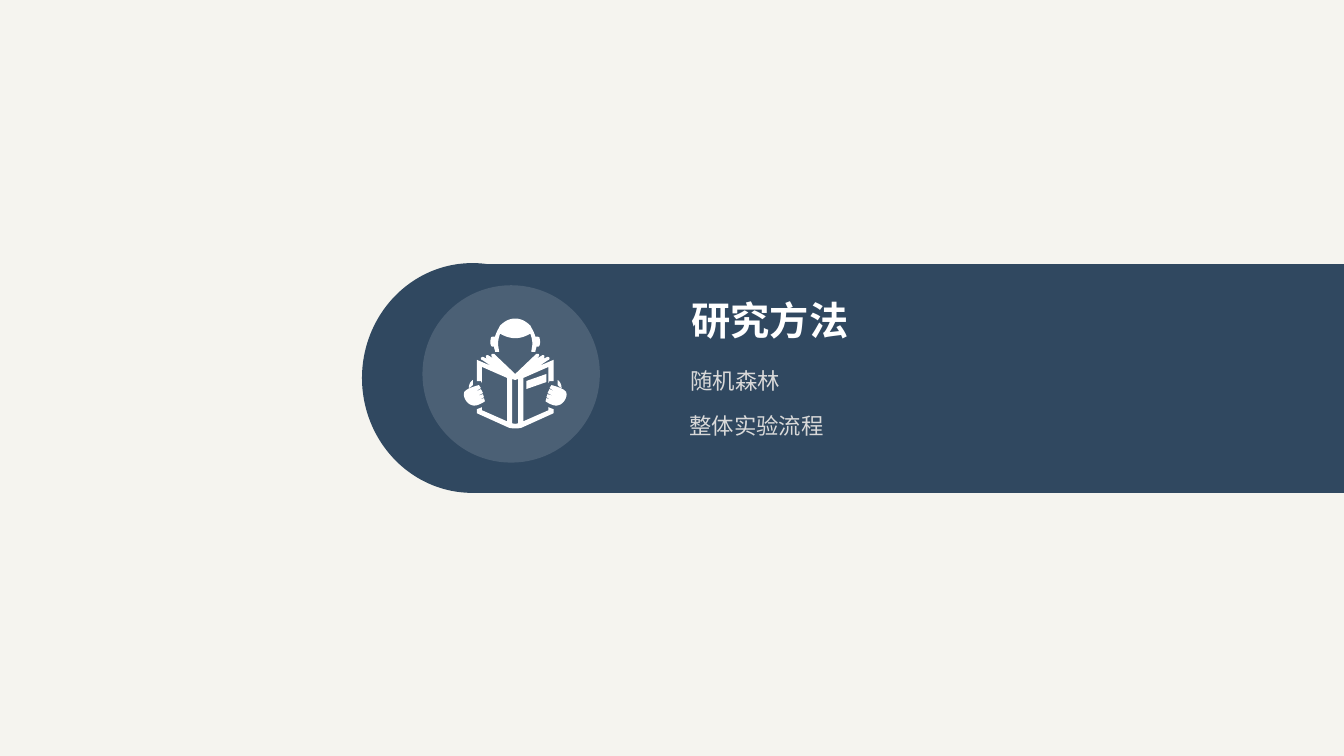
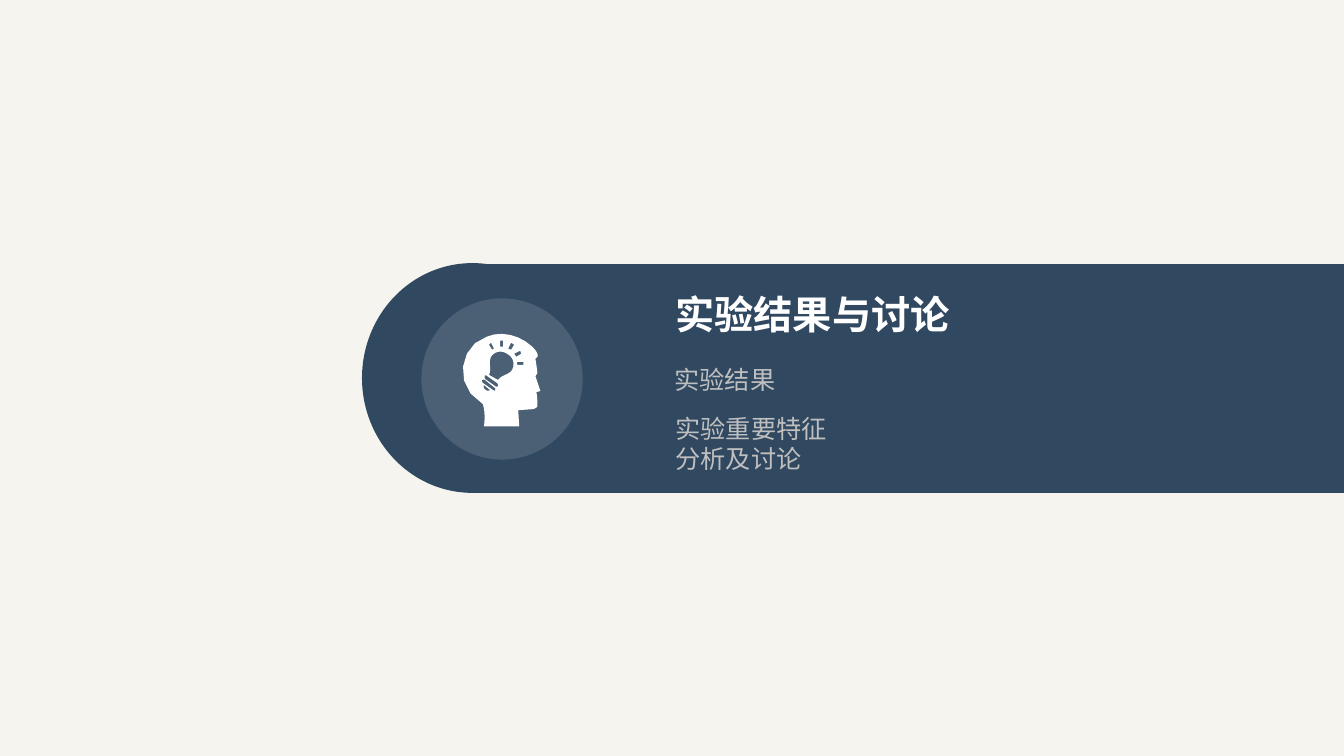
"""Build two section divider slides with a rounded band, an icon and topic lines."""
from dataclasses import dataclass
from typing import NamedTuple

import lxml.etree
import pptx
import pptx.dml.color
import pptx.enum.shapes
import pptx.enum.text
import pptx.oxml.ns
import pptx.util

Inches = pptx.util.Inches
MSO_SHAPE = pptx.enum.shapes.MSO_SHAPE

COLORS = {
    "paper": "F5F4EF",
    "band": "304860",
    "disc": "4B6075",
    "white": "FFFFFF",
    "light": "D9D9D9",
    "gray": "BFBFBF",
}
FONT = "Noto Sans CJK SC"
CURVE_STEPS = 6
READER_AXIS = 511


class Box(NamedTuple):
    left: float
    top: float
    width: float
    height: float

    def emu(self) -> list:
        return [Inches(v) for v in self]


@dataclass
class Topic:
    text: str
    box: Box


@dataclass
class Section:
    title: str
    title_box: Box
    disc: Box
    icon: list
    topics: list
    topic_size: int
    topic_color: str


def flatten(steps: list) -> list:
    points = [steps[0]]
    for step in steps[1:]:
        if len(step) == 2:
            points.append(step)
            continue
        x0, y0 = points[-1]
        x1, y1, x2, y2, x3, y3 = step
        for i in range(1, CURVE_STEPS + 1):
            t = i / CURVE_STEPS
            a, b, c, d = (1 - t) ** 3, 3 * t * (1 - t) ** 2, 3 * t * t * (1 - t), t ** 3
            points.append((a * x0 + b * x1 + c * x2 + d * x3,
                           a * y0 + b * y1 + c * y2 + d * y3))
    return points


def mirror(points: list) -> list:
    return [(2 * READER_AXIS - x, y) for x, y in reversed(points)]


def reader_icon() -> list:
    half_head = flatten([
        (511, 316), (517, 316, 522, 319, 526, 323), (528, 327, 530, 330, 531, 334),
        (533, 334, 535, 334, 535, 335), (536, 338, 536, 343, 534, 344), (532, 344),
        (532, 346, 531, 347, 531, 349), (527, 349), (527, 347, 528, 344, 528, 341),
        (528, 337, 527, 334, 526, 331), (521, 334, 516, 335.5, 511, 335.5)])
    half_book = flatten([
        (511, 371), (532, 351), (533, 351, 534, 351, 534, 351),
        (535, 352, 535, 353, 534, 354), (532, 356), (537, 353),
        (538, 352, 539, 352, 540, 353), (540, 354, 540, 355, 539, 356), (535, 358),
        (543, 354), (543, 354, 544, 354, 545, 355), (545, 356, 545, 357, 544, 357),
        (535, 363), (549, 357), (549, 378), (545, 378), (544, 380), (544, 364),
        (519, 375), (519, 418), (544, 407), (544, 404), (549, 406), (549, 410),
        (518, 424), (516, 425, 513, 425, 511, 425)])
    hand = flatten([
        (547, 382), (545, 385), (551, 389), (545, 386), (543, 390), (549, 393),
        (543, 391), (542, 394), (547, 397), (542, 395), (541, 398),
        (542, 399, 550, 404, 554, 402), (558, 401, 562, 396, 562, 391),
        (563, 386, 550, 383, 547, 382)])
    thumb = flatten([(557, 385), (554, 383), (553, 382), (553, 377),
                     (555, 378, 557, 381, 557, 385)])
    spine = [(508, 376), (508, 420), (511, 420.5), (514, 420), (514, 376), (511, 377)]
    label = [(522, 378), (542, 371), (542, 379), (522, 386)]
    halves = [half + mirror(half) for half in (half_head, half_book)]
    pairs = [side for part in (hand, thumb) for side in (part, mirror(part))]
    return halves + pairs + [spine, label]


def idea_icon() -> list:
    head = [
        (480, 423), (481, 416, 481, 408, 479, 401), (448, 383, 456, 342, 483, 334),
        (497, 328, 515, 332, 528, 344), (537, 353, 532, 355, 532, 355), (531, 356),
        (532, 361, 533, 369, 533, 370), (533, 371, 531, 373, 531, 373), (536, 388),
        (532, 389), (533, 394, 533, 398, 533, 403), (533, 404, 530, 406, 528, 406),
        (514, 407), (515, 423)]
    bulb = [
        (503, 351), (497, 347, 490, 349, 487, 354), (484, 360, 488, 366, 485, 372),
        (494, 377), (497, 372, 505, 372, 508, 367), (511, 361, 509, 354, 503, 351)]
    threads = [
        [(493, 380), (483, 373), (482, 372, 481, 372, 481, 373),
         (480, 374, 481, 375, 481, 376), (491, 383), (492, 384, 493, 384, 494, 383),
         (494, 382, 494, 381, 493, 380)],
        [(491, 385), (481, 377), (480, 376, 479, 377, 478, 377),
         (478, 378, 478, 379, 479, 380), (489, 387), (490, 388, 491, 388, 491, 387),
         (492, 386, 491, 385, 491, 385)],
        [(480, 382), (479, 384, 480, 386, 482, 387), (483, 388, 485, 388, 486, 387)]]
    rays = [
        [(507, 347), (510, 342), (507, 340), (504, 346)],
        [(512, 354), (517, 351), (516, 348), (510, 351)],
        [(499, 344), (499, 338), (496, 338), (496, 344)],
        [(490, 346), (487, 340), (485, 342), (488, 347)],
        [(513, 362), (519, 362), (519, 359), (513, 359)]]
    return [flatten(part) for part in [head, bulb, *threads, *rays]]


def rgb(name: str) -> pptx.dml.color.RGBColor:
    return pptx.dml.color.RGBColor.from_string(COLORS[name])


def paint(sp, color: str) -> None:
    sp.shadow.inherit = False
    sp.fill.solid()
    sp.fill.fore_color.rgb = rgb(color)
    sp.line.fill.background()


def add_preset(s, kind, box: Box, color: str) -> None:
    paint(s.shapes.add_shape(kind, *box.emu()), color)


def add_icon(s, contours: list) -> None:
    outlines = [[(Inches(x / 100), Inches(y / 100)) for x, y in c] for c in contours]
    builder = s.shapes.build_freeform(*outlines[0][0], scale=1.0)
    for i, outline in enumerate(outlines):
        if i:
            builder.move_to(*outline[0])
        builder.add_line_segments(outline[1:], close=True)
    paint(builder.convert_to_shape(), "white")


def write_text(sp, text: str, size: int, color: str, bold: bool = False) -> None:
    tf = sp.text_frame
    tf.text = text
    tf.word_wrap = True
    tf.auto_size = pptx.enum.text.MSO_AUTO_SIZE.NONE
    tf.vertical_anchor = pptx.enum.text.MSO_ANCHOR.TOP
    p = tf.paragraphs[0]
    p.alignment = pptx.enum.text.PP_ALIGN.LEFT
    p.line_spacing = pptx.util.Pt(round(size * 1.22))
    r = p.runs[0]
    r.font.size = pptx.util.Pt(size)
    r.font.bold = bold
    r.font.name = FONT
    r.font.color.rgb = rgb(color)
    ea = lxml.etree.SubElement(r.font._element, pptx.oxml.ns.qn("a:ea"))
    ea.set("typeface", FONT)


def add_topic(s, topic: Topic, size: int, color: str) -> None:
    sp = s.shapes.add_textbox(*topic.box.emu())
    tf = sp.text_frame
    tf.margin_left = tf.margin_right = tf.margin_top = tf.margin_bottom = 0
    write_text(sp, topic.text, size, color)


def add_section(prs, section: Section) -> None:
    s = prs.slides.add_slide(prs.slide_layouts[5])
    add_preset(s, MSO_SHAPE.OVAL, Box(3.59, 2.61, 2.19, 2.28), "band")
    add_preset(s, MSO_SHAPE.RECTANGLE, Box(4.65, 2.62, 8.68, 2.27), "band")
    add_preset(s, MSO_SHAPE.OVAL, section.disc, "disc")
    add_icon(s, section.icon)
    title = s.shapes.title
    title.left, title.top, title.width, title.height = section.title_box.emu()
    write_text(title, section.title, 28, "white", bold=True)
    title.element.getparent().append(title.element)
    for topic in section.topics:
        add_topic(s, topic, section.topic_size, section.topic_color)


def main() -> None:
    prs = pptx.Presentation()
    prs.slide_width, prs.slide_height = Inches(13.33), Inches(7.5)
    fill = prs.slide_master.background.fill
    fill.solid()
    fill.fore_color.rgb = rgb("paper")
    sections = [
        Section("研究方法", Box(6.76, 2.88, 5.22, 0.57), Box(4.19, 2.83, 1.76, 1.76),
                reader_icon(),
                [Topic("随机森林", Box(6.85, 3.63, 3.76, 0.27)),
                 Topic("整体实验流程", Box(6.84, 4.08, 1.48, 0.27))],
                16, "light"),
        Section("实验结果与讨论", Box(6.6, 2.82, 4.41, 0.57), Box(4.18, 2.96, 1.6, 1.6),
                idea_icon(),
                [Topic("实验结果", Box(6.69, 3.61, 1.73, 0.3)),
                 Topic("实验重要特征分析及讨论", Box(6.7, 4.09, 1.73, 0.61))],
                18, "gray"),
    ]
    for section in sections:
        add_section(prs, section)
    prs.save("out.pptx")


if __name__ == "__main__":
    main()
